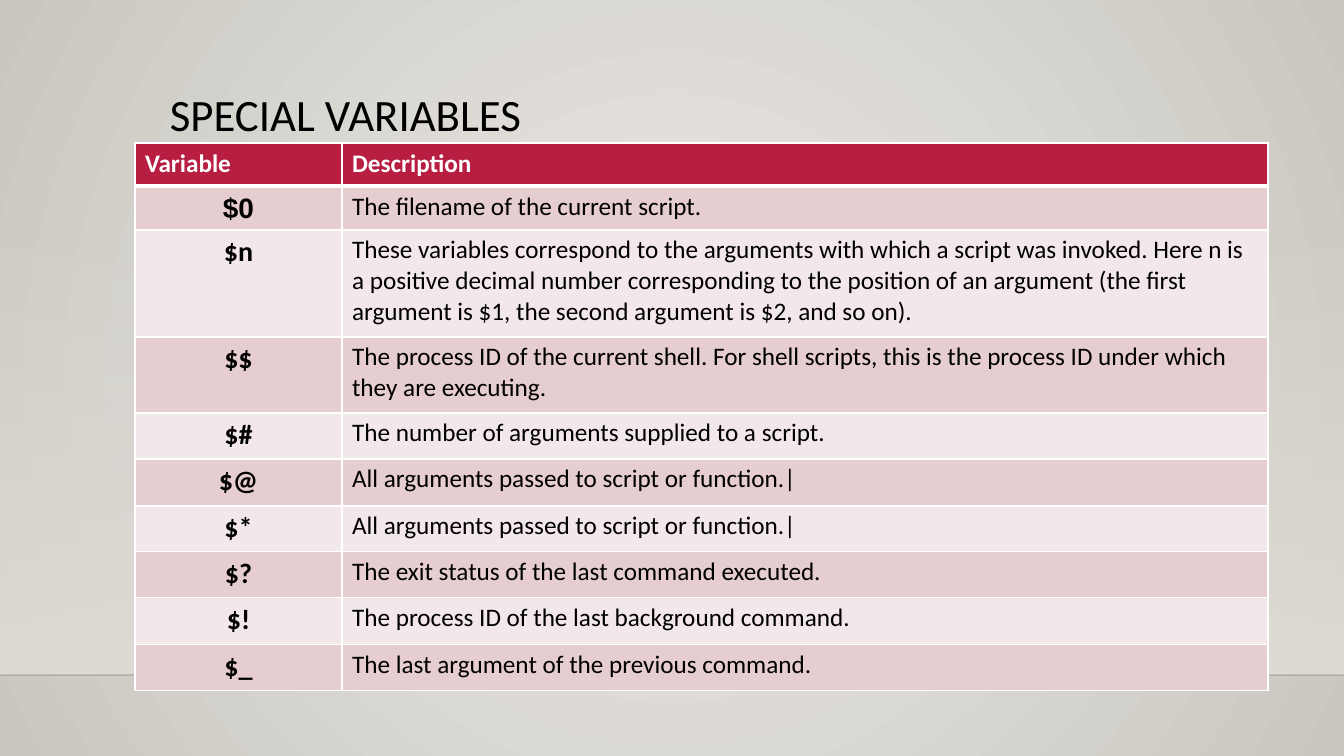
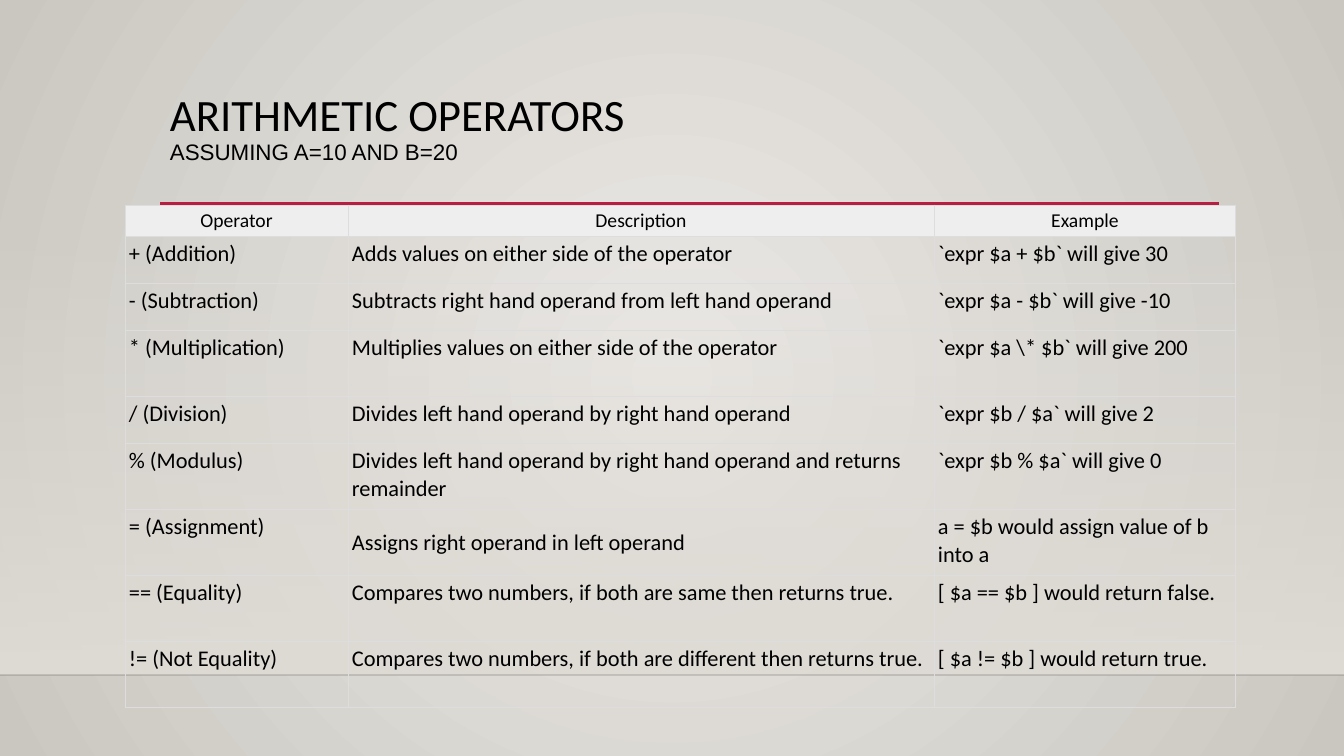
import pptx
import pptx.util
import pptx.dml.color
import pptx.enum.shapes
import pptx.enum.text
import pptx.oxml
import pptx.oxml.ns
from lxml import etree

RGB = pptx.dml.color.RGBColor
Pt = pptx.util.Pt
ALIGN = pptx.enum.text.PP_ALIGN
ANCHOR = pptx.enum.text.MSO_ANCHOR
qn = pptx.oxml.ns.qn

EMU_PER_PX = 914400 / 100.8
WIDTH, HEIGHT = 1344, 756
TITLE_BOX = (160, 88, 1059, 116)
BAND_TOP, BAND_BOTTOM = 223, 675

BLACK = RGB(0x00, 0x00, 0x00)
WHITE = RGB(0xFF, 0xFF, 0xFF)
CRIMSON = RGB(0xB7, 0x1E, 0x42)
PINK = RGB(0xE6, 0xCD, 0xCF)
PALE_PINK = RGB(0xF3, 0xE8, 0xE9)
BACK_CENTRE = RGB(0xEC, 0xEA, 0xE7)
BACK_EDGE = RGB(0xCA, 0xC7, 0xC1)
BAND = RGB(0xDF, 0xDB, 0xD5)
GRID = RGB(0xDD, 0xDD, 0xDD)
HEAD_GREY = RGB(0xEE, 0xEE, 0xEE)

VARIABLES = [
    ("Variable", "Description"),
    ("$0", "The filename of the current script."),
    ("$n", "These variables correspond to the arguments with which a script was "
           "invoked. Here n is a positive decimal number corresponding to the position "
           "of an argument (the first argument is $1, the second argument is $2, and so on)."),
    ("$$", "The process ID of the current shell. For shell scripts, this is the "
           "process ID under which they are executing."),
    ("$#", "The number of arguments supplied to a script."),
    ("$@", "All arguments passed to script or function.|"),
    ("$*", "All arguments passed to script or function.|"),
    ("$?", "The exit status of the last command executed."),
    ("$!", "The process ID of the last background command."),
    ("$_", "The last argument of the previous command."),
]
OPERATORS = [
    ("Operator", "Description", "Example"),
    ("+ (Addition)", "Adds values on either side of the operator",
     "`expr $a + $b` will give 30"),
    ("- (Subtraction)", "Subtracts right hand operand from left hand operand",
     "`expr $a - $b` will give -10"),
    ("* (Multiplication)", "Multiplies values on either side of the operator",
     "`expr $a \\* $b` will give 200"),
    ("/ (Division)", "Divides left hand operand by right hand operand",
     "`expr $b / $a` will give 2"),
    ("% (Modulus)", "Divides left hand operand by right hand operand and returns remainder",
     "`expr $b % $a` will give 0"),
    ("= (Assignment)", "Assigns right operand in left operand",
     "a = $b would assign value of b into a"),
    ("== (Equality)", "Compares two numbers, if both are same then returns true.",
     "[ $a == $b ] would return false."),
    ("!= (Not Equality)", "Compares two numbers, if both are different then returns true.",
     "[ $a != $b ] would return true."),
]


def px(n):
    """Turn pixels into EMU."""
    return pptx.util.Emu(round(n * EMU_PER_PX))


def set_font(font, size, color=BLACK, name="Calibri", bold=False):
    """Style a paragraph or run font."""
    font.size, font.name, font.bold = Pt(size), name, bold
    font.color.rgb = color


def set_gradient(fill, first, last):
    """Fill with a two-stop gradient."""
    fill.gradient()
    for stop, color in zip(fill.gradient_stops, (first, last)):
        stop.color.rgb = color


def set_alpha(element, percent):
    """Make the first colour in an element partly transparent."""
    color = next(element.iter(qn("a:srgbClr")))
    etree.SubElement(color, qn("a:alpha")).set("val", str(percent * 1000))


def add_rule(slide, left, right, y, color, width):
    """Draw a horizontal line without a shadow."""
    line = slide.shapes.add_connector(
        pptx.enum.shapes.MSO_CONNECTOR.STRAIGHT, px(left), px(y), px(right), px(y))
    line.line.color.rgb = color
    line.line.width = Pt(width)
    etree.SubElement(line._element.spPr, qn("a:effectLst"))
    return line


def add_backdrop(slide):
    """Draw the radial background, the fading band and its floor line."""
    set_gradient(slide.background.fill, BACK_CENTRE, BACK_EDGE)
    grad = next(slide._element.iter(qn("a:gradFill")))
    grad.remove(grad.find(qn("a:lin")))
    radial = etree.SubElement(grad, qn("a:path"), {"path": "circle"})
    etree.SubElement(radial, qn("a:fillToRect"), dict.fromkeys("ltrb", "50000"))

    sp = slide.shapes.add_shape(
        pptx.enum.shapes.MSO_SHAPE.RECTANGLE,
        0, px(BAND_TOP), px(WIDTH), px(BAND_BOTTOM - BAND_TOP))
    sp.shadow.inherit = False
    sp.line.fill.background()
    set_gradient(sp.fill, BAND, BAND)
    sp.fill.gradient_angle = 270
    set_alpha(sp._element, 0)

    floor = add_rule(slide, 0, WIDTH, BAND_BOTTOM, BLACK, 1)
    set_alpha(floor._element, 20)


def add_title(slide, box, title, subtitle=None):
    """Place the title, an optional smaller second line and the rule below."""
    left, top, width, height = box
    add_rule(slide, left, left + width, top + height, CRIMSON, 2.5)
    tf = slide.shapes.add_textbox(*map(px, box)).text_frame
    tf.word_wrap = True
    p = tf.paragraphs[0]
    p.line_spacing = 0.9
    r = p.add_run()
    r.text = title
    set_font(r.font, 32)
    if subtitle:
        p.add_line_break()
        r = p.add_run()
        r.text = subtitle
        set_font(r.font, 16, name="Arial")


def set_borders(cell, color, width, **widths):
    """Line the four sides of a cell, with other widths by side letter."""
    tcPr = cell._tc.get_or_add_tcPr()
    for i, side in enumerate("LRTB"):
        ln = etree.Element(qn("a:ln" + side), w=str(Pt(widths.get(side, width))))
        fill = etree.SubElement(ln, qn("a:solidFill"))
        etree.SubElement(fill, qn("a:srgbClr"), val=str(color))
        tcPr.insert(i, ln)


def set_margins(cell, left, top, right, bottom):
    """Set the cell insets in pixels."""
    cell.margin_left, cell.margin_top = px(left), px(top)
    cell.margin_right, cell.margin_bottom = px(right), px(bottom)


def add_grid(slide, left, top, cols, heights, rows):
    """Add an unbanded table holding the rows of text."""
    table = slide.shapes.add_table(
        len(rows), len(cols), px(left), px(top), px(sum(cols)), px(sum(heights))).table
    table.first_row = table.horz_banding = False
    for column, width in zip(table.columns, cols):
        column.width = px(width)
    for row, height, texts in zip(table.rows, heights, rows):
        row.height = px(height)
        for cell, text in zip(row.cells, texts):
            cell.text = text
    return table


def add_variables_table(slide, left, top):
    """Add the banded table of shell variables."""
    heights = [43, 44, 107, 76, 46, 47, 46, 46, 47, 46]
    table = add_grid(slide, left, top, [207, 926], heights, VARIABLES)
    for i, row in enumerate(table.rows):
        for j, cell in enumerate(row.cells):
            p = cell.text_frame.paragraphs[0]
            cell.fill.solid()
            if i == 0:
                cell.fill.fore_color.rgb = CRIMSON
                set_font(p.font, 18, WHITE, bold=True)
                set_borders(cell, WHITE, 1, B=3)
                continue
            cell.fill.fore_color.rgb = PINK if i % 2 else PALE_PINK
            set_borders(cell, WHITE, 1, T=3 if i == 1 else 1)
            if j == 0:
                p.alignment = ALIGN.CENTER
                set_font(p.font, 20, name="Arial" if i == 1 else "Calibri", bold=True)
            else:
                set_font(p.font, 18)
    first_name = table.cell(1, 0)
    first_name.vertical_anchor = ANCHOR.MIDDLE
    set_margins(first_name, 1, 1, 1, 0)


def add_operators_table(slide, left, top):
    """Add the unfilled table of arithmetic operators."""
    heights = [31, 47, 47, 66, 47, 66, 66, 66, 66]
    table = add_grid(slide, left, top, [223, 586, 302], heights, OPERATORS)
    for i, row in enumerate(table.rows):
        for cell in row.cells:
            p = cell.text_frame.paragraphs[0]
            set_margins(cell, 4, 4, 4, 4)
            if i == 0:
                cell.fill.solid()
                cell.fill.fore_color.rgb = HEAD_GREY
                p.alignment = ALIGN.CENTER
            else:
                cell.fill.background()
            set_font(p.font, 16 if i else 14)
            set_borders(cell, GRID, 0.75)
    table.cell(6, 1).vertical_anchor = ANCHOR.MIDDLE


def add_slide(prs, title, subtitle=None):
    """Start a blank slide with the shared backdrop and title."""
    slide = prs.slides.add_slide(prs.slide_layouts[6])
    add_backdrop(slide)
    add_title(slide, TITLE_BOX, title, subtitle)
    return slide


def main():
    """Build both slides and save them."""
    prs = pptx.Presentation()
    prs.slide_width, prs.slide_height = px(WIDTH), px(HEIGHT)
    add_variables_table(add_slide(prs, "SPECIAL VARIABLES"), 135, 143)
    operators = add_slide(prs, "ARITHMETIC OPERATORS", "ASSUMING A=10 AND B=20")
    add_operators_table(operators, 125, 205)
    prs.save("out.pptx")


main()
